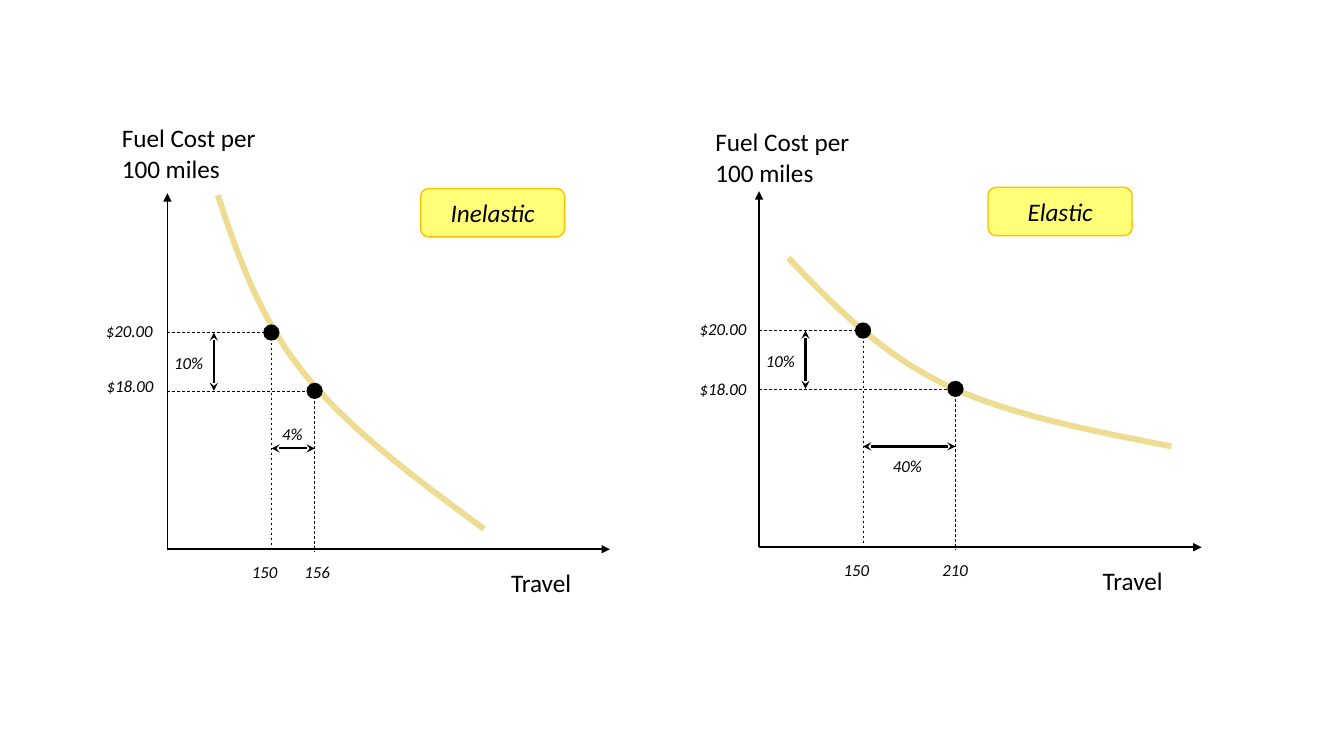
from dataclasses import dataclass

from lxml import etree
from pptx import Presentation
from pptx.dml.color import RGBColor
from pptx.enum.dml import MSO_LINE
from pptx.enum.shapes import MSO_CONNECTOR, MSO_SHAPE
from pptx.enum.text import MSO_ANCHOR, MSO_AUTO_SIZE, PP_ALIGN
from pptx.oxml.ns import qn
from pptx.shapes.autoshape import Shape
from pptx.shapes.shapetree import GroupShapes
from pptx.text.text import TextFrame
from pptx.util import Cm, Pt

STRAIGHT = MSO_CONNECTOR.STRAIGHT
OVAL, ROUNDED = MSO_SHAPE.OVAL, MSO_SHAPE.ROUNDED_RECTANGLE
DASH = MSO_LINE.DASH
CENTER, MIDDLE = PP_ALIGN.CENTER, MSO_ANCHOR.MIDDLE
GROW = MSO_AUTO_SIZE.SHAPE_TO_FIT_TEXT

FONT = "Calibri"
BLACK, CURVE, BADGE_FILL, BADGE_LINE = "000000", "EEDC92", "FFFF78", "FFC000"

# Distances from the origin of each chart, in cm, upwards and to the right
AXIS_HEIGHT, AXIS_WIDTH = 8.97, 11.15
HIGH_PRICE, LOW_PRICE = 5.46, 3.99
PRICE_ARROW_X, TRAVEL_ARROW_Y = 1.17, 2.54
DOT, TICK = 0.41, 0.05
BADGE_SIZE = (3.63, 1.22)
CURVE_STEPS = 24

Point = tuple[float, float]


@dataclass(frozen=True)
class Label:
    text: str
    at: Point
    size: Point
    points: int = 12
    italic: bool = True


@dataclass(frozen=True)
class DemandChart:
    name: str
    origin: Point
    badge_at: Point
    travel: Point
    curve: tuple[Point, ...]
    labels: tuple[Label, ...]


def rgb(color: str) -> RGBColor:
    return RGBColor.from_string(color)


def price(text: str, x: float, y: float) -> Label:
    return Label(text, (x, y), (1.7, 0.76))


def miles(text: str, x: float) -> Label:
    return Label(text, (x, -0.2), (1.17, 0.76))


def change(text: str, x: float, y: float) -> Label:
    return Label(text, (x, y), (1.24, 0.76))


def axis_title(text: str, x: float, y: float, width: float, height: float) -> Label:
    return Label(text, (x, y), (width, height), 18, False)


SHARED_LABELS = (
    axis_title("Travel", 8.41, -0.33, 2.03, 1.02),
    miles("150", 1.88),
    change("10%", -0.08, 5.08),
)

CHARTS = (
    DemandChart(
        "Inelastic", (4.22, 13.84), (6.38, 9.09), (2.62, 3.71),
        ((1.27, 8.92), (1.78, 7.39), (2.31, 5.84), (3.43, 4.45),
         (4.55, 3.05), (6.25, 1.78), (7.98, 0.51)),
        SHARED_LABELS + (
            axis_title("Fuel Cost per\n100 miles", -1.4, 10.87, 3.94, 1.8),
            price("$20.00", -1.8, 5.89),
            price("$18.00", -1.78, 4.5),
            miles("156", 3.2),
            Label("4%", (2.64, 3.28), (1.04, 0.76)),
        ),
    ),
    DemandChart(
        "Elastic", (19.13, 13.79), (5.77, 9.07), (2.62, 4.95),
        ((0.74, 7.29), (1.85, 6.12), (3.0, 4.95), (4.6, 4.14),
         (6.2, 3.35), (8.31, 2.95), (10.39, 2.54)),
        SHARED_LABELS + (
            axis_title("Fuel Cost per\n100 miles", -1.35, 10.72, 3.94, 1.8),
            price("$20.00", -1.75, 5.89),
            price("$18.00", -1.75, 4.37),
            miles("210", 4.37),
            change("40%", 3.12, 2.44),
        ),
    ),
)


def place(chart: DemandChart, point: Point) -> tuple[Cm, Cm]:
    """Turn a point of the chart into a point of the slide."""
    return Cm(chart.origin[0] + point[0]), Cm(chart.origin[1] - point[1])


def format_text(frame: TextFrame, points: int, italic: bool) -> None:
    for paragraph in frame.paragraphs:
        for run in paragraph.runs:
            run.font.name = FONT
            run.font.size = Pt(points)
            run.font.italic = italic
            run.font.color.rgb = rgb(BLACK)


def add_line(shapes: GroupShapes, chart: DemandChart, start: Point, end: Point,
             width: float, dashed: bool = False, head: str = "", tail: str = "") -> None:
    connector = shapes.add_connector(STRAIGHT, *place(chart, start), *place(chart, end))
    connector.line.color.rgb = rgb(BLACK)
    connector.line.width = Pt(width)
    if dashed:
        connector.line.dash_style = DASH
    properties = connector.element.spPr
    outline = properties.find(qn("a:ln"))
    for tag, kind in (("a:headEnd", head), ("a:tailEnd", tail)):
        if kind:
            etree.SubElement(outline, qn(tag)).set("type", kind)
    etree.SubElement(properties, qn("a:effectLst"))


def add_curve(shapes: GroupShapes, chart: DemandChart) -> None:
    def bezier(a: float, b: float, c: float, d: float, t: float) -> float:
        s = 1 - t
        return s**3 * a + 3 * s * s * t * b + 3 * s * t * t * c + t**3 * d

    points = [place(chart, chart.curve[0])]
    for first in range(0, len(chart.curve) - 1, 3):
        xs, ys = zip(*chart.curve[first:first + 4])
        for step in range(1, CURVE_STEPS + 1):
            t = step / CURVE_STEPS
            points.append(place(chart, (bezier(*xs, t), bezier(*ys, t))))
    builder = shapes.build_freeform(*points[0])
    builder.add_line_segments(points[1:], close=False)
    demand = builder.convert_to_shape()
    demand.shadow.inherit = False
    demand.fill.background()
    demand.line.color.rgb = rgb(CURVE)
    demand.line.width = Pt(4.25)


def add_filled(shapes: GroupShapes, chart: DemandChart, preset: MSO_SHAPE,
               at: Point, size: Point, color: str) -> Shape:
    shape = shapes.add_shape(preset, *place(chart, at), Cm(size[0]), Cm(size[1]))
    shape.shadow.inherit = False
    shape.fill.solid()
    shape.fill.fore_color.rgb = rgb(color)
    shape.line.fill.background()
    return shape


def add_label(shapes: GroupShapes, chart: DemandChart, label: Label) -> None:
    box = shapes.add_textbox(*place(chart, label.at), Cm(label.size[0]), Cm(label.size[1]))
    frame = box.text_frame
    frame.text = label.text
    frame.word_wrap = False
    frame.auto_size = GROW
    format_text(frame, label.points, label.italic)


def add_badge(shapes: GroupShapes, chart: DemandChart) -> None:
    badge = add_filled(shapes, chart, ROUNDED, chart.badge_at, BADGE_SIZE, BADGE_FILL)
    badge.line.color.rgb = rgb(BADGE_LINE)
    badge.line.width = Pt(1)
    frame = badge.text_frame
    frame.text = chart.name
    frame.vertical_anchor = MIDDLE
    frame.paragraphs[0].alignment = CENTER
    format_text(frame, 18, True)


def draw_chart(shapes: GroupShapes, chart: DemandChart) -> None:
    # Axes and demand curve
    for end in ((0, AXIS_HEIGHT), (AXIS_WIDTH, 0)):
        add_line(shapes, chart, (0, 0), end, 1.25, tail="triangle")
    add_curve(shapes, chart)

    # Points on the curve with their guides
    for x, y in zip(chart.travel, (HIGH_PRICE, LOW_PRICE)):
        add_filled(shapes, chart, OVAL, (x - DOT / 2, y + DOT / 2), (DOT, DOT), BLACK)
        add_line(shapes, chart, (0, y), (x, y), 0.5, dashed=True)
        add_line(shapes, chart, (x, y), (x, -TICK), 0.5, dashed=True)

    # Changes in price and travel
    changes = (
        ((PRICE_ARROW_X, HIGH_PRICE), (PRICE_ARROW_X, LOW_PRICE)),
        ((chart.travel[1], TRAVEL_ARROW_Y), (chart.travel[0], TRAVEL_ARROW_Y)),
    )
    for start, end in changes:
        add_line(shapes, chart, start, end, 1.5, head="stealth", tail="stealth")

    # Wording
    for label in chart.labels:
        add_label(shapes, chart, label)
    add_badge(shapes, chart)


def main() -> None:
    deck = Presentation()
    deck.slide_width, deck.slide_height = Cm(33.87), Cm(19.05)
    slide = deck.slides.add_slide(deck.slide_layouts[6])
    for chart in CHARTS:
        draw_chart(slide.shapes.add_group_shape().shapes, chart)
    deck.save("out.pptx")


if __name__ == "__main__":
    main()
